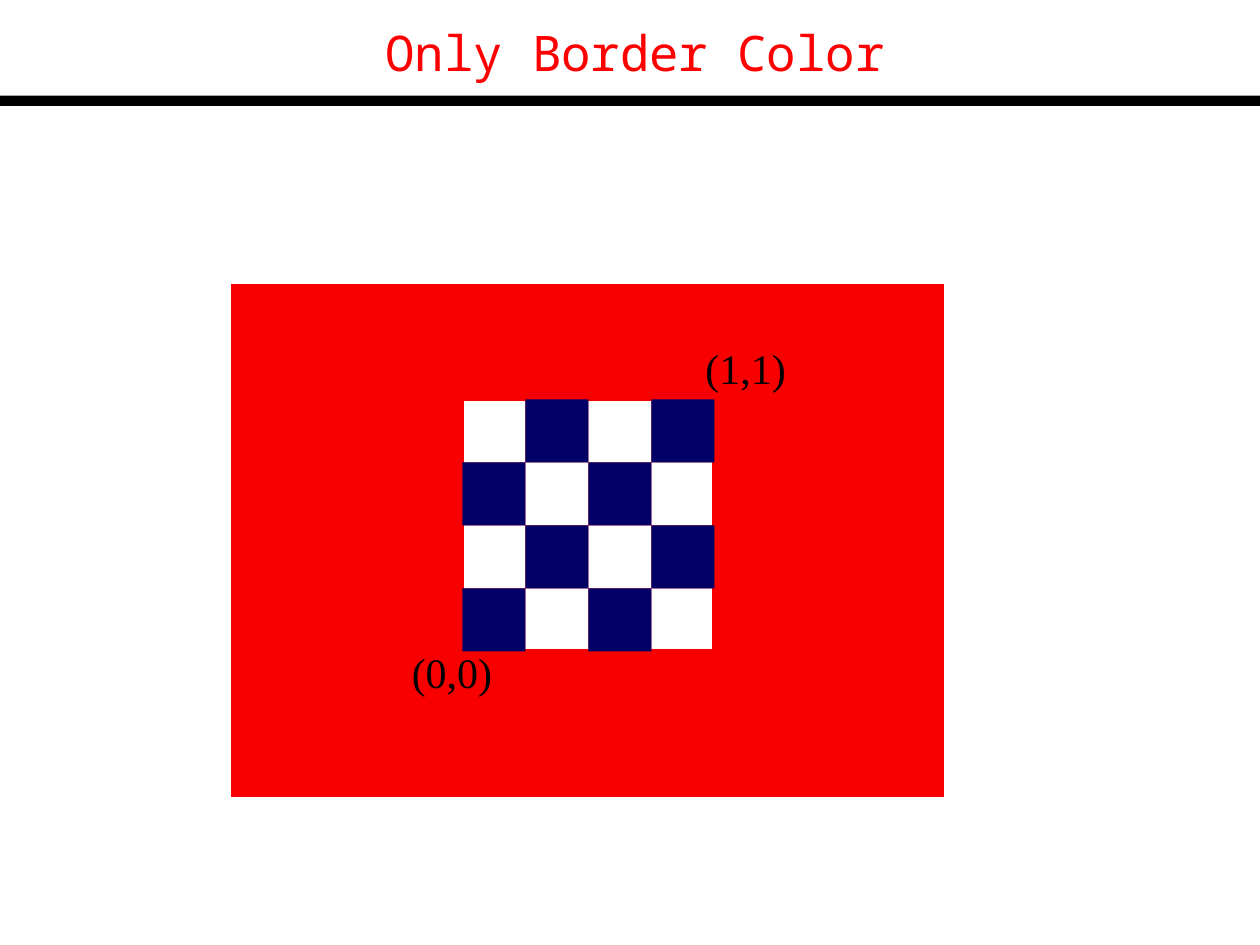
import pptx
import pptx.dml.color
import pptx.enum.shapes
import pptx.enum.text
import pptx.util

RED, WHITE, NAVY, BLACK = "F80000", "FFFFFF", "000066", "000000"

TITLE = "Only Border Color"
CORNER_LABELS = [("(0,0)", 3.17, 5.08), ("(1,1)", 5.5, 2.67)]

BOARD_LEFT, BOARD_TOP = 3.67, 3.17
CELL, CELLS = 0.5, 4

deck = pptx.Presentation()
deck.slide_width = pptx.util.Inches(10)
deck.slide_height = pptx.util.Inches(7.5)
page = deck.slides.add_slide(deck.slide_layouts[6])


def color(value):
    return pptx.dml.color.RGBColor.from_string(value)


def inches(*lengths):
    return [pptx.util.Inches(length) for length in lengths]


def add_rectangle(left, top, width, height, fill=None, line=None, weight=0.75):
    box = page.shapes.add_shape(
        pptx.enum.shapes.MSO_SHAPE.RECTANGLE, *inches(left, top, width, height))
    box.shadow.inherit = False
    if fill:
        box.fill.solid()
        box.fill.fore_color.rgb = color(fill)
    else:
        box.fill.background()
    if line:
        box.line.color.rgb = color(line)
        box.line.width = pptx.util.Pt(weight)
    else:
        box.line.fill.background()


def add_text(text, left, top, width, height, size=24, font="Times New Roman",
             ink=BLACK, align="LEFT", anchor="TOP", wrap=False):
    box = page.shapes.add_textbox(*inches(left, top, width, height))
    frame = box.text_frame
    frame.word_wrap = wrap
    frame.vertical_anchor = pptx.enum.text.MSO_ANCHOR[anchor]
    para = frame.paragraphs[0]
    para.alignment = pptx.enum.text.PP_ALIGN[align]
    span = para.add_run()
    span.text = text
    span.font.size = pptx.util.Pt(size)
    span.font.name = font
    span.font.color.rgb = color(ink)


def add_cells(parity, fill):
    """Fill the board cells whose row plus column has the given parity."""
    for row in range(CELLS):
        for column in range(CELLS):
            if (row + column) % 2 == parity:
                add_rectangle(BOARD_LEFT + column * CELL, BOARD_TOP + row * CELL,
                              CELL, CELL, fill)


add_rectangle(0, 0.76, 10, 0.08, BLACK)
add_rectangle(1.83, 2.25, 5.67, 4.08, RED, line=WHITE)
add_text(TITLE, 0.25, 0.08, 9.58, 0.67, size=28, font="Noto Sans Mono",
         ink="FF0000", align="CENTER", anchor="MIDDLE", wrap=True)

add_cells(0, WHITE)
add_rectangle(BOARD_LEFT, BOARD_TOP, CELLS * CELL, CELLS * CELL,
              line=RED, weight=2.25)
add_cells(1, NAVY)

for label, left, top in CORNER_LABELS:
    add_text(label, left, top, 0.84, 0.5)

deck.save("out.pptx")
